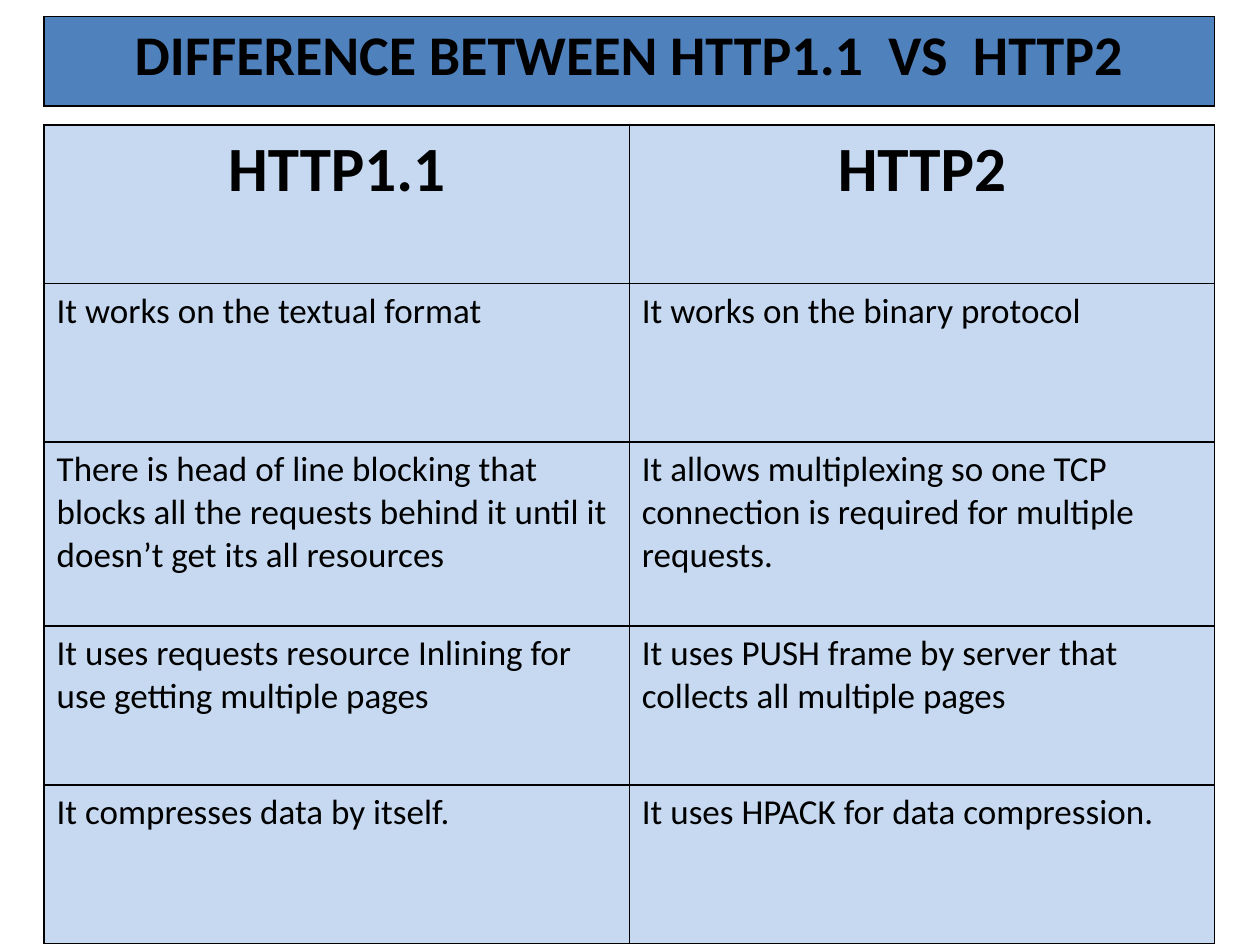
from lxml import etree
from pptx import Presentation
from pptx.dml.color import RGBColor
from pptx.enum.text import PP_ALIGN
from pptx.oxml.ns import qn
from pptx.util import Inches, Pt

CENTER = PP_ALIGN.CENTER
LEFT = PP_ALIGN.LEFT
BLANK_LAYOUT = 6
BORDER_SIDES = ("a:lnL", "a:lnR", "a:lnT", "a:lnB")


def color(value):
    return RGBColor.from_string(value)


class SlideBuilder:
    font = "Calibri"
    ink = "000000"
    border_width = Pt(1)

    def __init__(self, slide):
        self.slide = slide

    def borders(self, cell):
        tcPr = cell._tc.get_or_add_tcPr()
        for i, side in enumerate(BORDER_SIDES):
            ln = etree.Element(qn(side), w=str(self.border_width))
            fill = etree.SubElement(ln, qn("a:solidFill"))
            etree.SubElement(fill, qn("a:srgbClr"), val=self.ink)
            tcPr.insert(i, ln)

    def cell(self, cell, text, fill, size, bold, align):
        cell.fill.solid()
        cell.fill.fore_color.rgb = color(fill)
        self.borders(cell)
        cell.text = text
        p = cell.text_frame.paragraphs[0]
        p.alignment = align
        p.font.name = self.font
        p.font.size = Pt(size)
        p.font.bold = bold
        p.font.color.rgb = color(self.ink)

    def table(self, left, top, width, heights, rows, fill, head_size, body_size=20):
        columns = len(rows[0])
        frame = self.slide.shapes.add_table(
            len(rows), columns, Inches(left), Inches(top),
            Inches(width), Inches(sum(heights)))
        table = frame.table
        for column in table.columns:
            column.width = Inches(width / columns)
        for r, (height, texts) in enumerate(zip(heights, rows)):
            table.rows[r].height = Inches(height)
            head = r == 0
            for c, text in enumerate(texts):
                self.cell(table.cell(r, c), text, fill,
                          head_size if head else body_size,
                          head, CENTER if head else LEFT)


COMPARISON = [
    ("HTTP1.1", "HTTP2"),
    ("It works on the textual format", "It works on the binary protocol"),
    ("There is head of line blocking that blocks all the requests behind it "
     "until it doesn’t get its all resources",
     "It allows multiplexing so one TCP connection is required for multiple requests."),
    ("It uses requests resource Inlining for use getting multiple pages",
     "It uses PUSH frame by server that collects all multiple pages"),
    ("It compresses data by itself.", "It uses HPACK for data compression."),
]

prs = Presentation()
prs.slide_width = Inches(10)
prs.slide_height = Inches(7.5)
s = SlideBuilder(prs.slides.add_slide(prs.slide_layouts[BLANK_LAYOUT]))
s.table(0.35, 0.99, 9.29, [1.26, 1.26, 1.46, 1.26, 1.26], COMPARISON, "C6D9F1", 36)
s.table(0.35, 0.13, 9.29, [0.71],
        [("DIFFERENCE BETWEEN HTTP1.1  VS  HTTP2",)], "4F81BD", 32)
prs.save("out.pptx")
